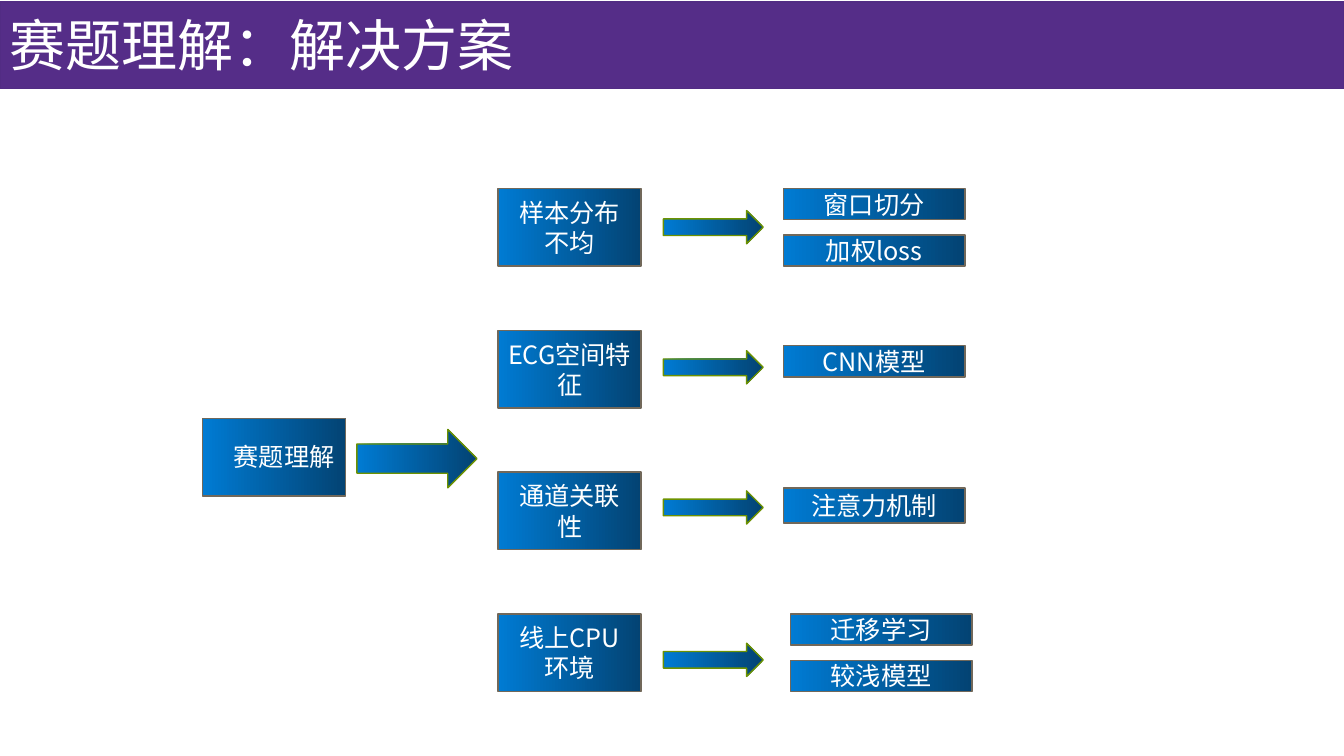
"""Build a slide that maps each challenge of the task to its solutions."""
from dataclasses import dataclass
from typing import Optional

from lxml import etree
from pptx import Presentation
from pptx import util as u
from pptx.dml.color import RGBColor
from pptx.enum import shapes, text
from pptx.oxml import ns


@dataclass(frozen=True)
class Theme:
    font: str = "Noto Sans CJK SC"
    title_size: int = 40
    body_size: int = 18
    ink: str = "FFFFFF"
    banner: str = "552D88"
    banner_edge: str = "522C84"
    gradient: tuple[str, str] = ("007BD3", "034373")
    box_edge: str = "71685A"
    arrow_edge: str = "6D9200"
    edge_width: int = 1


@dataclass(frozen=True)
class Area:
    """Position and size as percentages of the slide."""
    left: float
    top: float
    width: float
    height: float


@dataclass(frozen=True)
class Solution:
    words: str
    offset: float
    height: float = 4.13


@dataclass(frozen=True)
class Challenge:
    words: str
    arrow_offset: float
    solutions: tuple[Solution, ...]
    solution_left: float = 58.29


THEME = Theme()
WIDTH, HEIGHT = u.Inches(13.33), u.Inches(7.5)
FIRST_ROW, ROW_PITCH = 24.93, 18.76
BOX_WIDTH, BOX_HEIGHT = 10.65, 10.27
SECOND = 6.13

CHALLENGES = (
    Challenge("样本分布不均", 2.93, (Solution("窗口切分", 0), Solution("加权loss", SECOND))),
    Challenge("ECG空间特征", 2.7, (Solution("CNN模型", 2.04),)),
    Challenge("通道关联性", 2.48, (Solution("注意力机制", 2.08, 4.67),)),
    Challenge("线上CPU环境", 3.87, (Solution("迁移学习", 0), Solution("较浅模型", SECOND)), 58.81),
)


def apply(target, formats: dict) -> None:
    for attribute, value in formats.items():
        setattr(target, attribute, value)


def place(area: Area) -> tuple[int, int, int, int]:
    return (int(WIDTH * area.left / 100), int(HEIGHT * area.top / 100),
            int(WIDTH * area.width / 100), int(HEIGHT * area.height / 100))


def write(holder, words: str, size: int, frame_formats: dict, align: text.PP_ALIGN) -> None:
    frame = holder.text_frame
    apply(frame, {"word_wrap": True, **frame_formats})
    paragraph = frame.paragraphs[0]
    paragraph.alignment = align
    run = paragraph.add_run()
    run.text = words
    apply(run.font, {"name": THEME.font, "size": u.Pt(size)})
    run.font.color.rgb = RGBColor.from_string(THEME.ink)
    east_asian = etree.SubElement(run.font._element, ns.qn("a:ea"))
    east_asian.set("typeface", THEME.font)


def draw_shape(slide, kind: shapes.MSO_SHAPE, area: Area, edge: str,
               solid: Optional[str] = None):
    shape = slide.shapes.add_shape(kind, *place(area))
    shape.shadow.inherit = False
    if solid:
        shape.fill.solid()
        shape.fill.fore_color.rgb = RGBColor.from_string(solid)
    else:
        shape.fill.gradient()
        shape.fill.gradient_angle = 0
        for stop, colour in zip(shape.fill.gradient_stops, THEME.gradient):
            stop.color.rgb = RGBColor.from_string(colour)
    shape.line.color.rgb = RGBColor.from_string(edge)
    shape.line.width = u.Pt(THEME.edge_width)
    return shape


def draw_box(slide, area: Area, words: str = "") -> None:
    box = draw_shape(slide, shapes.MSO_SHAPE.RECTANGLE, area, THEME.box_edge)
    if words:
        write(box, words, THEME.body_size,
              {"vertical_anchor": text.MSO_ANCHOR.MIDDLE}, text.PP_ALIGN.CENTER)


def draw_arrow(slide, area: Area) -> None:
    draw_shape(slide, shapes.MSO_SHAPE.RIGHT_ARROW, area, THEME.arrow_edge)


def draw_label(slide, area: Area, words: str, size: int) -> None:
    label = slide.shapes.add_textbox(*place(area))
    write(label, words, size,
          {"auto_size": text.MSO_AUTO_SIZE.SHAPE_TO_FIT_TEXT}, text.PP_ALIGN.LEFT)


def draw_challenge(slide, row: int, challenge: Challenge) -> None:
    top = FIRST_ROW + row * ROW_PITCH
    draw_box(slide, Area(37.06, top, BOX_WIDTH, BOX_HEIGHT), challenge.words)
    draw_arrow(slide, Area(49.36, top + challenge.arrow_offset, 7.43, 4.4))
    for solution in challenge.solutions:
        draw_box(slide, Area(challenge.solution_left, top + solution.offset,
                             13.5, solution.height), solution.words)


def main() -> None:
    deck = Presentation()
    apply(deck, {"slide_width": WIDTH, "slide_height": HEIGHT})
    slide = deck.slides.add_slide(deck.slide_layouts[6])
    draw_shape(slide, shapes.MSO_SHAPE.FLOWCHART_PROCESS, Area(0, 0.27, 100, 11.47),
               THEME.banner_edge, THEME.banner)
    draw_label(slide, Area(0, 0.8, 49.59, 10.27), "赛题理解：解决方案", THEME.title_size)
    draw_box(slide, Area(15.08, 55.33, BOX_WIDTH, BOX_HEIGHT))
    draw_label(slide, Area(16.65, 57.73, 9.08, 5.33), "赛题理解", THEME.body_size)
    draw_arrow(slide, Area(26.56, 56.8, 8.93, 7.73))
    for row, challenge in enumerate(CHALLENGES):
        draw_challenge(slide, row, challenge)
    deck.save("out.pptx")


if __name__ == "__main__":
    main()
